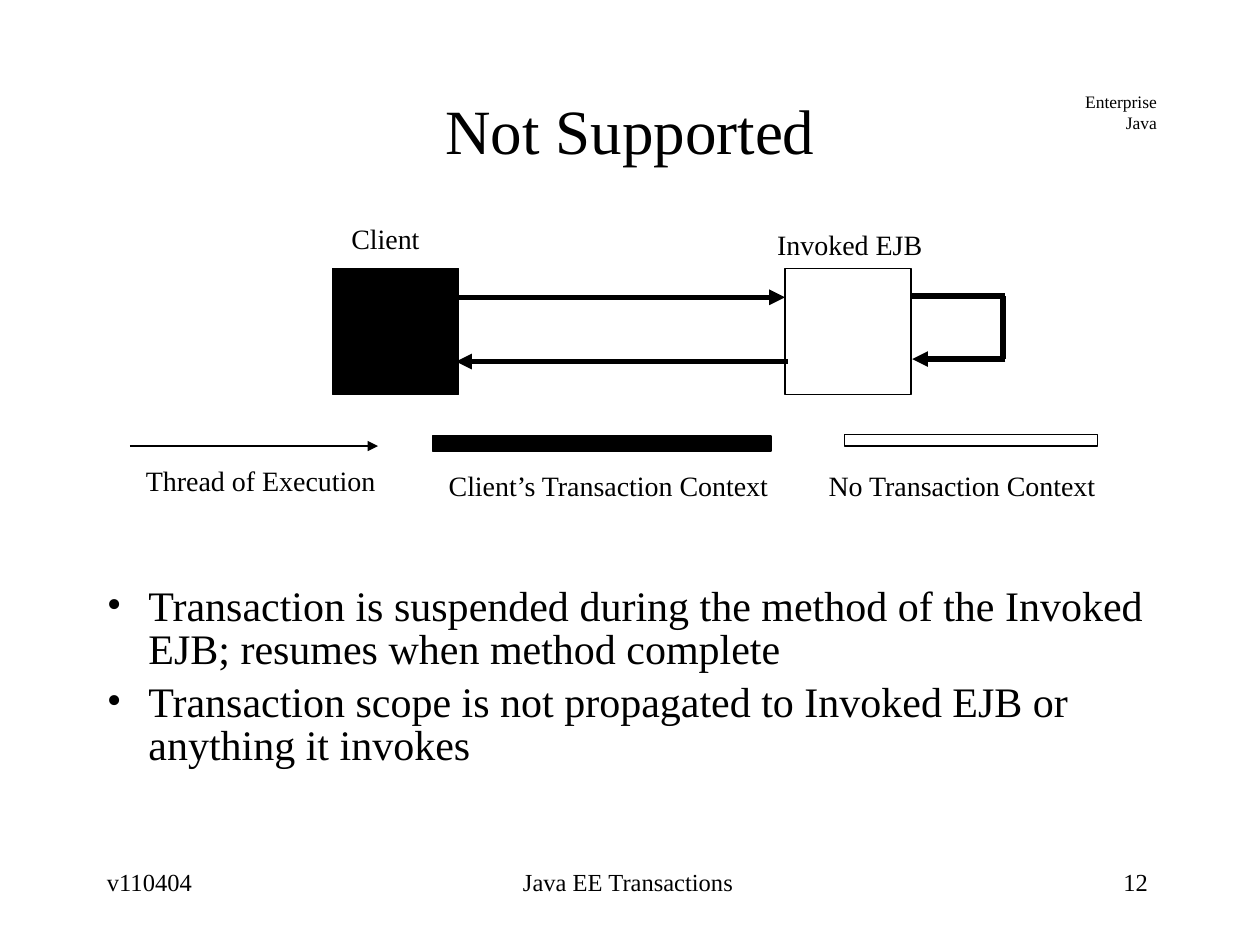
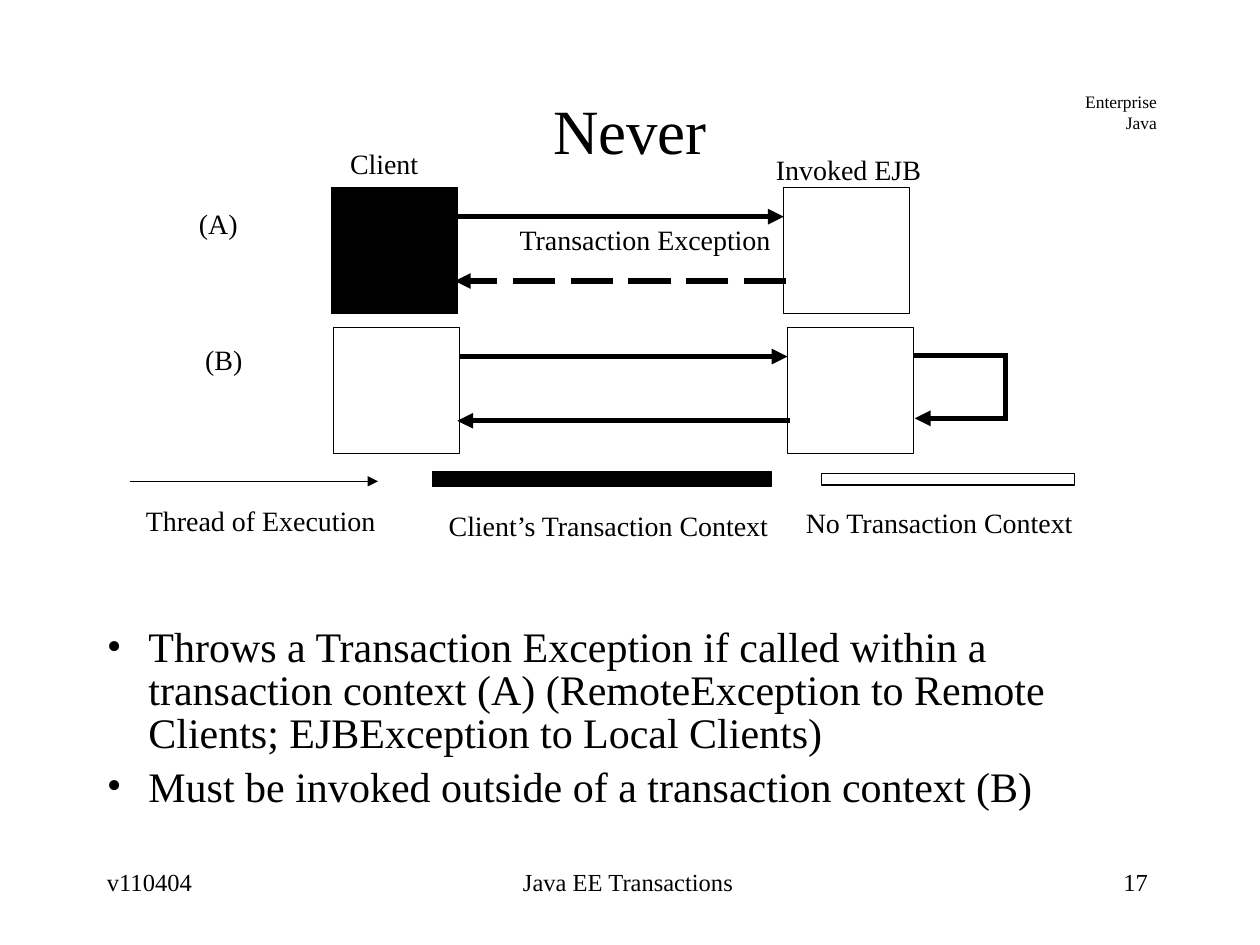
from lxml import etree
from pptx import Presentation
from pptx.dml.color import RGBColor
from pptx.enum import dml, shapes, text
from pptx.oxml import ns
from pptx import util as u

PX = 9144  # one px is a hundredth of an inch
BLACK = RGBColor(0x00, 0x00, 0x00)
WHITE = RGBColor(0xFF, 0xFF, 0xFF)
FONT = "Times New Roman"
LEFT, CENTER, RIGHT = text.PP_ALIGN.LEFT, text.PP_ALIGN.CENTER, text.PP_ALIGN.RIGHT
TIGHT = 0.29  # line spacing of titles and diagram labels
BOX = 100  # side of the client and EJB squares
THICK, THIN = 3, 0.75
INDENT = 33


def px(*lengths):
    return [u.Emu(length * PX) for length in lengths]


def sub(parent, tag, **attributes):
    return etree.SubElement(parent, ns.qn(tag), attributes)


def write(frame, lines, size, align=LEFT, **spacing):
    """Fill a text frame, one paragraph for each line."""
    frame.text = "\n".join(lines)
    for paragraph in frame.paragraphs:
        paragraph.alignment = align
        for name, value in spacing.items():
            setattr(paragraph, name, value)
        font = paragraph.runs[0].font
        for name, value in {"name": FONT, "size": u.Pt(size), "bold": False}.items():
            setattr(font, name, value)
        font.color.rgb = BLACK


def add_text(slide, box, lines, size, align=LEFT, wrap=True, **spacing):
    frame = slide.shapes.add_textbox(*px(*box)).text_frame
    write(frame, lines, size, align, **spacing)
    frame.word_wrap = wrap
    fit = text.MSO_AUTO_SIZE
    frame.auto_size = fit.NONE if wrap else fit.SHAPE_TO_FIT_TEXT
    return frame


def add_label(slide, left, top, width, words, align=LEFT):
    add_text(slide, (left, top, width, 18), [words], 16, align,
             wrap=False, line_spacing=TIGHT)


def add_rect(slide, box, fill=None):
    rect = slide.shapes.add_shape(shapes.MSO_SHAPE.RECTANGLE, *px(*box))
    rect.shadow.inherit = False
    if fill is None:
        rect.fill.background()
    else:
        rect.fill.solid()
        rect.fill.fore_color.rgb = fill
    rect.line.color.rgb = BLACK
    rect.line.width = u.Pt(THIN)


def add_line(slide, start, end, weight=THICK, arrow=True, dash=None):
    connector = slide.shapes.add_connector(
        shapes.MSO_CONNECTOR.STRAIGHT, *px(*start, *end))
    line = connector.line
    line.color.rgb = BLACK
    line.width = u.Pt(weight)
    if dash:
        line.dash_style = dash
    properties = connector._element.spPr
    if arrow:
        sub(properties.find(ns.qn("a:ln")), "a:tailEnd", type="triangle")
    sub(properties, "a:effectLst")


def add_base(deck, title, number):
    """Add a slide with its title, corner mark and footer."""
    slide = deck.slides.add_slide(deck.slide_layouts[5])
    heading = slide.shapes.title
    heading.left, heading.top, heading.width, heading.height = px(75, 67, 850, 100)
    frame = heading.text_frame
    write(frame, [title], 36, CENTER, line_spacing=TIGHT)
    frame.vertical_anchor = text.MSO_ANCHOR.MIDDLE
    frame.auto_size = text.MSO_AUTO_SIZE.NONE

    add_text(slide, (851, 67, 77, 44), ["Enterprise", "Java"], 10, RIGHT, wrap=False)
    for left, width, words, align in [(75, 204, "v110404", LEFT),
                                      (342, 313, "Java EE Transactions", CENTER),
                                      (717, 204, str(number), RIGHT)]:
        add_text(slide, (left, 683, width, 46), [words], 14, align)
    return slide


def add_bullets(slide, top, height, points):
    frame = add_text(slide, (75, top, 850, height), points, 24,
                     line_spacing=0.85, space_before=u.Pt(6))
    for paragraph in frame.paragraphs:
        properties = paragraph._p.get_or_add_pPr()
        properties.set("marL", str(INDENT * PX))
        properties.set("indent", str(-INDENT * PX))
        colour = sub(properties, "a:buClr")
        sub(colour, "a:srgbClr", val=str(BLACK))
        sub(properties, "a:buFont", typeface=FONT)
        sub(properties, "a:buChar", char="•")


def add_headings(slide, left, top):
    add_label(slide, left, top, 74, "Client")
    add_label(slide, left + 338, top + 5, 135, "Invoked EJB")


def add_call(slide, left, top, client_fill=None, ejb_fill=None,
             gap=259, runs=True):
    """Client calls the EJB, which runs its method or throws an exception."""
    ejb = left + BOX + gap
    call, reply = top + 23, top + 74
    add_rect(slide, (left, top, BOX, BOX), client_fill)
    add_rect(slide, (ejb, top, BOX, BOX), ejb_fill)
    add_line(slide, (left + BOX, call), (ejb, call))
    add_line(slide, (ejb + 2, reply), (left + BOX - 2, reply),
             dash=None if runs else dml.MSO_LINE.LONG_DASH)
    if runs:
        side, start, finish = ejb + BOX, top + 22, top + 72
        add_line(slide, (side, start), (side + 75, start), arrow=False)
        add_line(slide, (side + 75, finish), (side + 1, finish))
        add_line(slide, (side + 73, start), (side + 73, finish), arrow=False)
    else:
        add_label(slide, left + 138, top + 39, 222, "Transaction Exception", CENTER)


def add_legend(slide, left, top, label_gap, none_bar, none_label_top):
    """Key to the thread and to the two contexts; none_bar is (x, y) from the corner."""
    add_line(slide, (left, top + 8), (left + 197, top + 8), THIN)
    add_label(slide, left + 3, top + label_gap, 202, "Thread of Execution")

    add_rect(slide, (left + 240, top, 269, 12), BLACK)
    add_label(slide, left + 242, top + label_gap + 4, 276,
              "Client’s Transaction Context", CENTER)

    none_left = left + none_bar[0]
    add_rect(slide, (none_left, top + none_bar[1], 201, 9))
    add_label(slide, none_left - 23, top + none_label_top, 233,
              "No Transaction Context", CENTER)


def add_not_supported(deck):
    slide = add_base(deck, "Not Supported", 12)
    add_headings(slide, 269, 187)
    add_call(slide, 264, 213, client_fill=BLACK)
    add_legend(slide, 103, 346, 33, (567, -1), 37)
    add_bullets(slide, 461, 206, [
        "Transaction is suspended during the method of the Invoked EJB; "
        "resumes when method complete",
        "Transaction scope is not propagated to Invoked EJB or anything it invokes"])


def add_never(deck):
    slide = add_base(deck, "Never", 17)
    add_headings(slide, 268, 127)
    add_label(slide, 148, 175, 54, "(A)")
    add_call(slide, 263, 149, client_fill=BLACK, runs=False)
    add_label(slide, 153, 283, 54, "(B)")
    add_call(slide, 265, 260, ejb_fill=WHITE, gap=260)
    add_legend(slide, 103, 374, 37, (549, 2), 38)
    add_bullets(slide, 494, 179, [
        "Throws a Transaction Exception if called within a transaction context (A) "
        "(RemoteException to Remote Clients; EJBException to Local Clients)",
        "Must be invoked outside of a transaction context (B)"])


def main():
    deck = Presentation()
    deck.slide_width, deck.slide_height = px(1000, 750)
    add_not_supported(deck)
    add_never(deck)
    deck.save("out.pptx")


if __name__ == "__main__":
    main()
